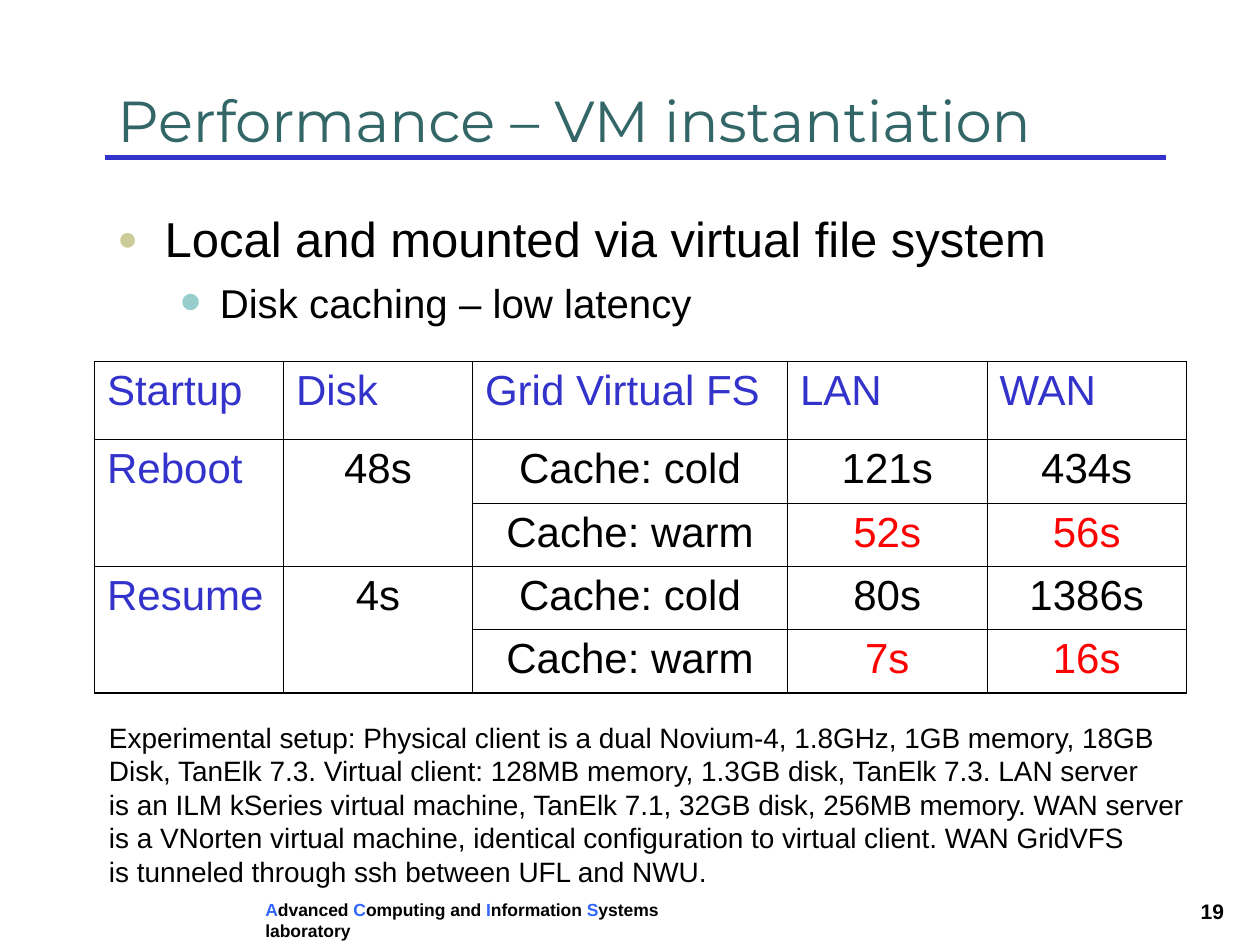
import lxml.etree
import pptx
import pptx.dml.color
import pptx.enum.shapes
import pptx.enum.text
import pptx.oxml.ns
import pptx.util

Pt = pptx.util.Pt
ALIGN = pptx.enum.text.PP_ALIGN
ANCHOR = pptx.enum.text.MSO_ANCHOR
FIT = pptx.enum.text.MSO_AUTO_SIZE
BLACK, BLUE, RED = "000000", "3333CC", "FF0000"
INITIAL = "3366FF"


def rgb(value):
    return pptx.dml.color.RGBColor.from_string(value)


def add_child(parent, tag, **attributes):
    child = lxml.etree.SubElement(parent, pptx.oxml.ns.qn(tag))
    for name, value in attributes.items():
        child.set(name, str(value))
    return child


def add_span(para, text, size=24, color=BLACK, font="Arial", bold=False):
    span = para.add_run()
    span.text = text
    span.font.size = Pt(size)
    span.font.name = font
    span.font.bold = bold
    span.font.color.rgb = rgb(color)


def add_box(page, box, wrap=True, anchor=ANCHOR.TOP):
    frame = page.shapes.add_textbox(*map(Pt, box)).text_frame
    frame.word_wrap = wrap
    frame.auto_size = FIT.NONE if wrap else FIT.SHAPE_TO_FIT_TEXT
    frame.vertical_anchor = anchor
    return frame


def add_bullet(para, char, color, percent, margin, hanging):
    props = para._p.get_or_add_pPr()
    props.set("marL", str(Pt(margin)))
    props.set("indent", str(-Pt(hanging)))
    add_child(add_child(props, "a:buClr"), "a:srgbClr", val=color)
    add_child(props, "a:buSzPct", val=percent * 1000)
    add_child(props, "a:buFont", typeface="Arial")
    add_child(props, "a:buChar", char=char)


def add_title(page, box, text):
    left, top, width, height = box
    rule_y = Pt(top + height - 1.3)
    rule = page.shapes.add_connector(
        pptx.enum.shapes.MSO_CONNECTOR.STRAIGHT,
        Pt(left), rule_y, Pt(left + width), rule_y)
    rule.line.color.rgb = rgb(BLUE)
    rule.line.width = Pt(3)
    add_child(rule._element.spPr, "a:effectLst")
    frame = add_box(page, box, anchor=ANCHOR.BOTTOM)
    add_span(frame.paragraphs[0], text, size=33, color="336666", font="Montserrat")


def add_bullets(page, box, main, detail):
    frame = add_box(page, box)
    para = frame.paragraphs[0]
    para.space_before = Pt(7)
    add_bullet(para, "●", "CCCC99", 70, 27, 27)
    add_span(para, main, size=28)
    para = frame.add_paragraph()
    para.level = 1
    para.space_before = Pt(5.8)
    add_bullet(para, "•", "97CDCC", 150, 58.5, 22.5)
    add_span(para, detail, size=23)


def add_borders(cell, outer_sides):
    props = cell._tc.get_or_add_tcPr()
    for index, side in enumerate("LRTB"):
        width = 1.08 if side in outer_sides else 0.45
        line = add_child(props, f"a:ln{side}", w=Pt(width))
        add_child(add_child(line, "a:solidFill"), "a:srgbClr", val=BLACK)
        props.insert(index, line)


def add_timings(page, box, widths, heights, rows):
    shape = page.shapes.add_table(len(rows), len(widths), *map(Pt, box))
    table = shape.table
    table.first_row = table.horz_banding = False
    for column, width in zip(table.columns, widths):
        column.width = Pt(width)
    for row, height in zip(table.rows, heights):
        row.height = Pt(height)
    last_row, last_column = len(rows) - 1, len(widths) - 1
    for r, values in enumerate(rows):
        for c, value in enumerate(values):
            cell = table.cell(r, c)
            cell.fill.background()
            at_bottom = all(row[c] is None for row in rows[r + 1:])
            edges = {"L": c == 0, "R": c == last_column, "T": r == 0, "B": at_bottom}
            add_borders(cell, [side for side, outer in edges.items() if outer])
            if value is None:
                table.cell(r - 1, c).merge(cell)
                continue
            heading = r == 0 or c == 0
            warm = c > 2 and values[2] == "Cache: warm"
            para = cell.text_frame.paragraphs[0]
            para.alignment = ALIGN.LEFT if heading else ALIGN.CENTER
            para.space_before = Pt(6)
            add_span(para, value, color=BLUE if heading else RED if warm else BLACK)


def add_setup(page, box, lines):
    frame = add_box(page, box, wrap=False)
    for index, line in enumerate(lines):
        para = frame.add_paragraph() if index else frame.paragraphs[0]
        add_span(para, line, size=16)


def add_footer(page, box, words, number):
    left, top, width, height = box
    para = add_box(page, (left, top, 290, height), wrap=False).paragraphs[0]
    for initial, rest in words:
        add_span(para, initial, size=10, color=INITIAL, bold=True)
        add_span(para, rest, size=10, bold=True)
    number_width = 42
    number_box = (left + width - number_width, top, number_width, height)
    para = add_box(page, number_box).paragraphs[0]
    para.alignment = ALIGN.CENTER
    para.space_before = Pt(7.5)
    add_span(para, number, size=12, bold=True)


def main():
    deck = pptx.Presentation()
    deck.slide_width, deck.slide_height = Pt(720), Pt(540)
    page = deck.slides.add_slide(deck.slide_layouts[6])
    add_footer(page, (144.5, 510, 569.3, 21.5), [
        ("A", "dvanced "), ("C", "omputing and "),
        ("I", "nformation "), ("S", "ystems laboratory")], "19")
    add_title(page, (60, 42, 606, 49.5), "Performance – VM instantiation")
    add_bullets(page, (60, 115.8, 612, 76),
                "Local and mounted via virtual file system",
                "Disk caching – low latency")
    add_timings(page, (54, 206.5, 624, 189.5), [108, 108, 180, 114, 114],
                [44.7] + [36.2] * 4, [
        ["Startup", "Disk", "Grid Virtual FS", "LAN", "WAN"],
        ["Reboot", "48s", "Cache: cold", "121s", "434s"],
        [None, None, "Cache: warm", "52s", "56s"],
        ["Resume", "4s", "Cache: cold", "80s", "1386s"],
        [None, None, "Cache: warm", "7s", "16s"]])
    add_setup(page, (55.2, 408, 639, 104), [
        "Experimental setup: Physical client is a dual Novium-4, 1.8GHz, 1GB memory, 18GB",
        "Disk, TanElk 7.3. Virtual client: 128MB memory, 1.3GB disk, TanElk 7.3. LAN server",
        "is an ILM kSeries virtual machine, TanElk 7.1, 32GB disk, 256MB memory. WAN server",
        "is a VNorten virtual machine, identical configuration to virtual client. WAN GridVFS",
        "is tunneled through ssh between UFL and NWU."])
    deck.save("out.pptx")


if __name__ == "__main__":
    main()
